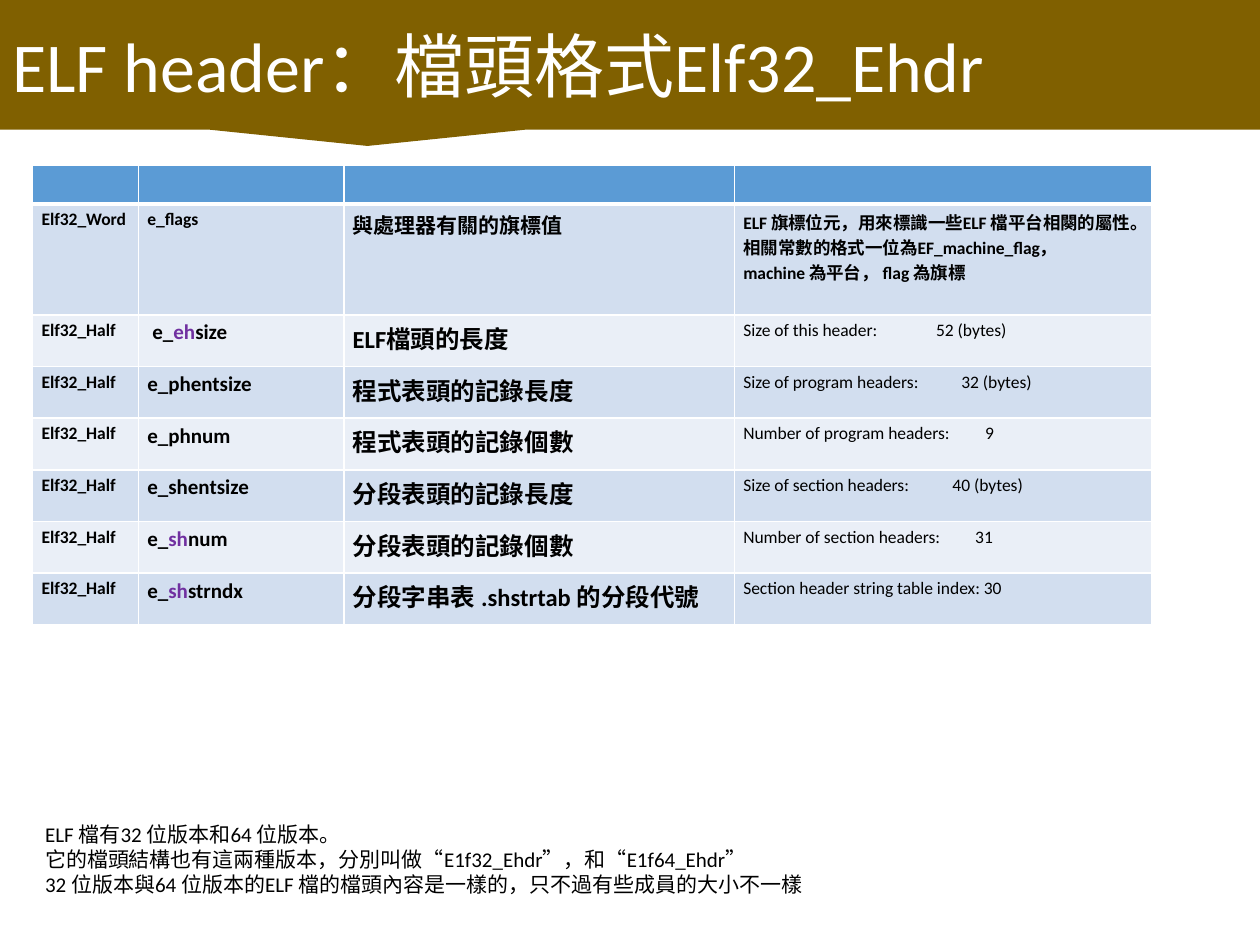
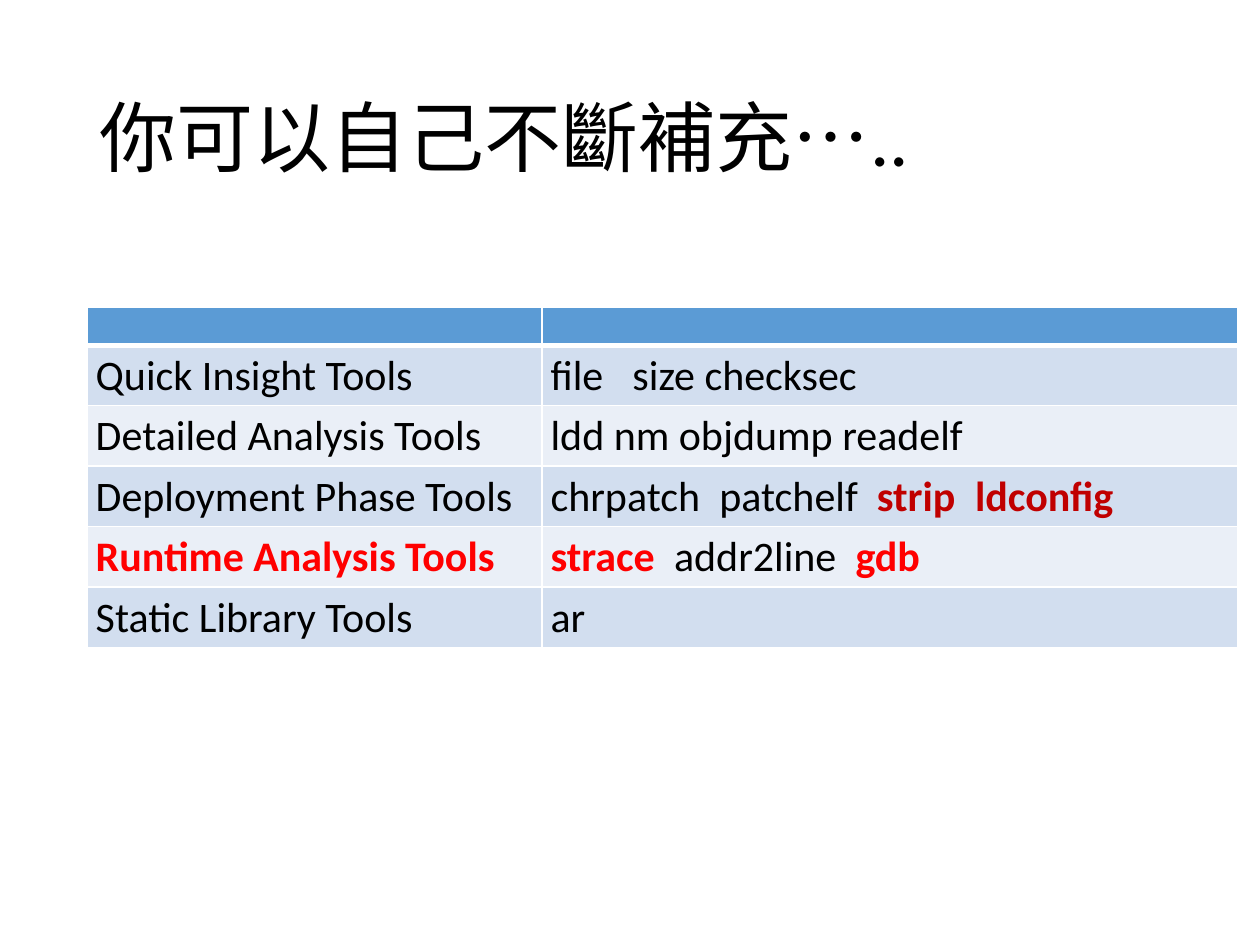
import pptx
import pptx.util
import pptx.dml.color
import pptx.enum.shapes
import pptx.enum.text
import pptx.oxml.ns
from lxml import etree

Inches = pptx.util.Inches
RGBColor = pptx.dml.color.RGBColor
qn = pptx.oxml.ns.qn

FONT = "Calibri"
WHITE = RGBColor(0xFF, 0xFF, 0xFF)
BLACK = RGBColor(0x00, 0x00, 0x00)
BROWN = RGBColor(0x80, 0x60, 0x00)
HEADER = RGBColor(0x5B, 0x9B, 0xD5)
BANDS = [RGBColor(0xEA, 0xEF, 0xF7), RGBColor(0xD2, 0xDE, 0xEF)]
PURPLE = RGBColor(0x70, 0x30, 0xA0)
RED = RGBColor(0xFF, 0x00, 0x00)
DARK_RED = RGBColor(0xC0, 0x00, 0x00)


def write(tf, lines, size, bold=False, color=BLACK):
    for i, parts in enumerate(lines):
        p = tf.paragraphs[0] if i == 0 else tf.add_paragraph()
        for part in parts:
            text, part_color, part_bold = part if isinstance(part, tuple) else (part, color, bold)
            r = p.add_run()
            r.text = text
            r.font.name = FONT
            r.font.size = pptx.util.Pt(size)
            r.font.bold = part_bold
            r.font.color.rgb = part_color


def add_grid(s, left, top, widths, heights, rows):
    frame = s.shapes.add_table(len(heights), len(widths), Inches(left), Inches(top),
                               Inches(sum(widths)), Inches(sum(heights)))
    table = frame.table
    for col, width in zip(table.columns, widths):
        col.width = Inches(width)
    for i, height in enumerate(heights):
        table.rows[i].height = Inches(height)
        for j in range(len(widths)):
            cell = table.cell(i, j)
            cell.margin_left = cell.margin_right = Inches(0.07)
            cell.margin_top = cell.margin_bottom = Inches(0.04)
            tcPr = cell._tc.get_or_add_tcPr()
            for side in "LRTB":
                thick = (i, side) in [(0, "B"), (1, "T")]
                ln = etree.SubElement(tcPr, qn("a:ln" + side), w="38100" if thick else "12700")
                fill = etree.SubElement(ln, qn("a:solidFill"))
                etree.SubElement(fill, qn("a:srgbClr"), val=str(WHITE))
            cell.fill.solid()
            cell.fill.fore_color.rgb = BANDS[i % 2] if i else HEADER
            p = cell.text_frame.paragraphs[0]
            if i == 0:
                etree.SubElement(p._p, qn("a:endParaRPr"), sz="1000")
                continue
            lines, size, bold, stops = rows[i - 1][j]
            if stops:
                tabs = etree.SubElement(p._p.get_or_add_pPr(), qn("a:tabLst"))
                for stop in stops:
                    etree.SubElement(tabs, qn("a:tab"), pos=str(Inches(stop)), algn="l")
            write(cell.text_frame, lines, size, bold)
    return table


prs = pptx.Presentation()
prs.slide_width = Inches(10)
prs.slide_height = Inches(7.5)

s = prs.slides.add_slide(prs.slide_layouts[6])
fields = [
    (["e_", ("eh", PURPLE, True), "size"], "ELF檔頭的長度", "Size of this header:\t52 (bytes)", 1.53),
    (["e_phentsize"], "程式表頭的記錄長度", "Size of program headers:\t32 (bytes)", 1.73),
    (["e_phnum"], "程式表頭的記錄個數", "Number of program headers:\t9", 1.92),
    (["e_shentsize"], "分段表頭的記錄長度", "Size of section headers:\t40 (bytes)", 1.66),
    (["e_", ("sh", PURPLE, True), "num"], "分段表頭的記錄個數", "Number of section headers:\t31", 1.84),
    (["e_", ("sh", PURPLE, True), "strndx"], "分段字串表 .shstrtab 的分段代號",
     "Section header string table index: 30", None),
]
flag_notes = [["ELF 旗標位元，用來標識一些ELF 檔平台相闋的屬性。"],
              ["相關常數的格式一位為EF_machine_flag，"],
              ["machine 為平台， flag 為旗標"]]
rows = [[([["Elf32_Word"]], 10, True, []), ([["e_flags"]], 10, True, []),
         ([["與處理器有關的旗標值"]], 12, True, []), (flag_notes, 10, True, [])]]
for name, meaning, value, stop in fields:
    rows.append([([["Elf32_Half"]], 10, True, []), ([name], 12, True, []),
                 ([[meaning]], 14, True, []), ([[value]], 10, False, [stop] if stop else [])])
table = add_grid(s, 0.26, 1.31, [0.84, 1.63, 3.1, 3.31], [0.31, 0.87] + [0.41] * 6, rows)
table.cell(2, 1).margin_left = Inches(0.11)

sp = s.shapes.add_shape(pptx.enum.shapes.MSO_SHAPE.RECTANGULAR_CALLOUT, 0, 0, Inches(10), Inches(1.03))
sp.shadow.inherit = False
sp.fill.solid()
sp.fill.fore_color.rgb = BROWN
sp.line.fill.background()
tf = sp.text_frame
tf.vertical_anchor = pptx.enum.text.MSO_ANCHOR.MIDDLE
write(tf, [["ELF header：檔頭格式Elf32_Ehdr"]], 40, color=WHITE)
tf.paragraphs[0].alignment = pptx.enum.text.PP_ALIGN.LEFT

tf = s.shapes.add_textbox(Inches(0.26), Inches(6.47), Inches(7.56), Inches(0.71)).text_frame
tf.word_wrap = True
write(tf, [["ELF 檔有32 位版本和64 位版本。"],
           ["它的檔頭結構也有這兩種版本，分別叫做“E1f32_Ehdr”，和“E1f64_Ehdr”"],
           ["32 位版本與64 位版本的ELF 檔的檔頭內容是一樣的，只不過有些成員的大小不一樣"]], 12)

s = prs.slides.add_slide(prs.slide_layouts[6])
tf = s.shapes.add_textbox(Inches(0.69), Inches(0.4), Inches(8.62), Inches(1.45)).text_frame
tf.word_wrap = True
tf.vertical_anchor = pptx.enum.text.MSO_ANCHOR.MIDDLE
write(tf, [["你可以自己不斷補充….."]], 44)
tf.paragraphs[0].line_spacing = 0.9

tools = [
    ("Quick Insight Tools", ["file\tsize checksec"], [0.65]),
    ("Detailed Analysis Tools", ["ldd nm objdump readelf"], []),
    ("Deployment Phase Tools", ["chrpatch\tpatchelf\t", ("strip\tldconfig", DARK_RED, True)],
     [1.34, 2.59, 3.37]),
    (("Runtime Analysis Tools", RED, True),
     [("strace", RED, True), "\taddr2line\t", ("gdb", RED, True)], [0.98, 2.42]),
    ("Static Library Tools", ["ar"], []),
]
rows = [[([[group]], 24, False, []), ([names], 24, False, stops)] for group, names, stops in tools]
add_grid(s, 0.69, 2.44, [3.61, 5.52], [0.3] + [0.48] * 5, rows)

prs.save("out.pptx")
